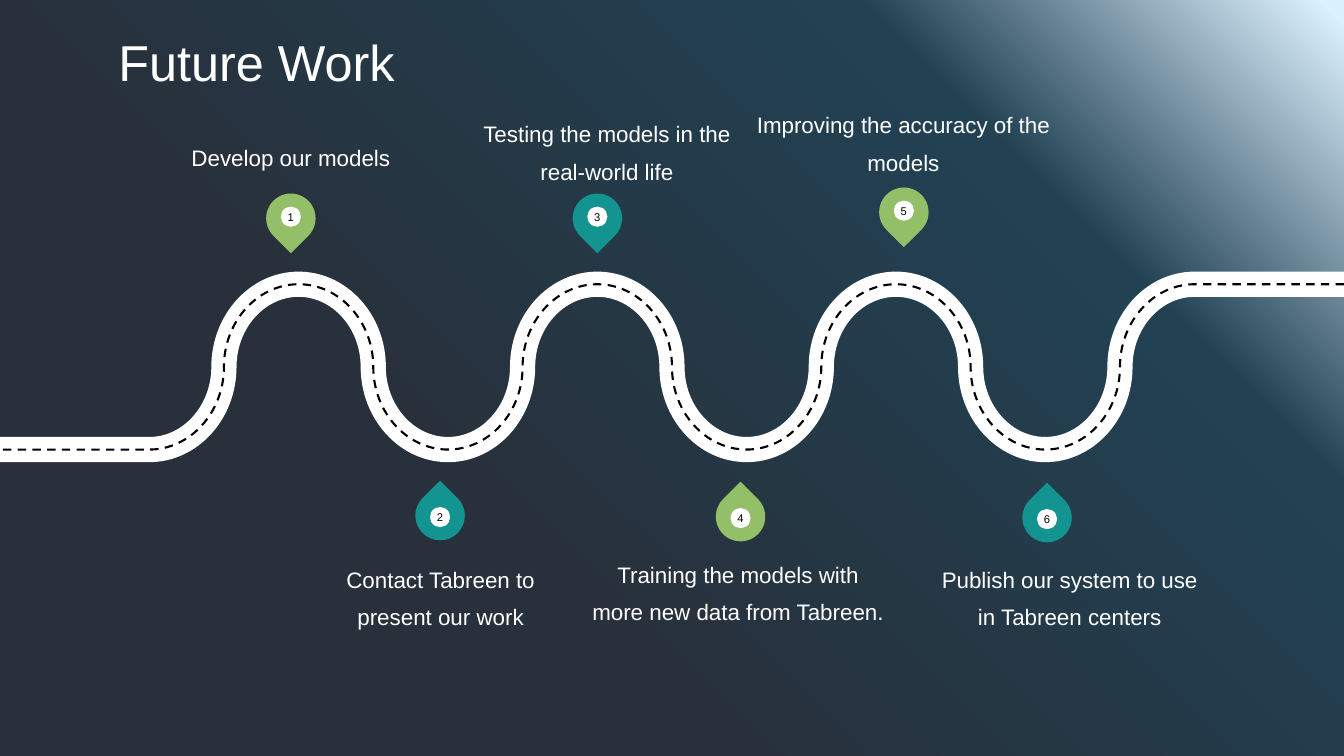
import pptx
import pptx.util
import pptx.dml.color
import pptx.enum.dml
import pptx.enum.shapes
import pptx.enum.text
import pptx.oxml
import pptx.oxml.ns

Inches = pptx.util.Inches
Pt = pptx.util.Pt
RGB = pptx.dml.color.RGBColor
SHAPE = pptx.enum.shapes.MSO_SHAPE
ANCHOR = pptx.enum.text.MSO_ANCHOR
qn = pptx.oxml.ns.qn
NS = pptx.oxml.ns.nsdecls("a")

# Colours
DARK = RGB(0x28, 0x31, 0x3C)
WHITE = RGB(0xFF, 0xFF, 0xFF)
BLACK = RGB(0x00, 0x00, 0x00)
GREEN = RGB(0x94, 0xBF, 0x69)
TEAL = RGB(0x13, 0x94, 0x90)
GLOW = [  # percent, colour
    (1, RGB(0xDC, 0xF1, 0xFF)),
    (23, RGB(0x22, 0x42, 0x54)),
    (66, RGB(0x28, 0x30, 0x3B)),
]

# Content
TITLE = "Future Work"
TITLE_BOX = (0.28, 0.26, 4.53, 0.71)
STEPS = [  # text, text box (left, top, width, height), pin (left, top), pin colour
    ("Develop our models", (1.65, 1.27, 2.47, 0.44), (2.64, 1.92), GREEN),
    ("Contact Tabreen to present our work", (3.06, 5.46, 2.62, 0.82), (4.12, 4.87), TEAL),
    ("Testing the models in the real-world life", (4.6, 1.04, 2.84, 0.82), (5.68, 1.92), TEAL),
    ("Training the models with more new data from Tabreen.",
     (5.76, 5.41, 3.12, 1.2), (7.1, 4.88), GREEN),
    ("Improving the accuracy of the models", (7.32, 0.95, 3.28, 0.82), (8.72, 1.86), GREEN),
    ("Publish our system to use in Tabreen centers",
     (9.16, 5.46, 2.9, 0.82), (10.14, 4.89), TEAL),
]

# Layout
FONT = "Arial"
WIDE, HIGH = 13.33, 7.5
TOP, LOW = 2.82, 4.46           # crests and dips of the road
MID = (TOP + LOW) / 2
STRIDE = WIDE / 18              # width of one quarter bend
BENDS = 14                      # quarter bends; a flat end of two strides on each side
ROUND = 0.55                    # handle length that makes a quarter ellipse
PIN, DOT = 0.49, 0.2
NUDGE = 0.015                   # dot sits this far from the pin's centre, away from its tip


def write(frame, text, size, color, space=1.0):
    """Fill a text frame with one centred paragraph."""
    frame.word_wrap = True
    frame.auto_size = pptx.enum.text.MSO_AUTO_SIZE.NONE
    para = frame.paragraphs[0]
    para.text = text
    para.alignment = pptx.enum.text.PP_ALIGN.CENTER
    para.line_spacing = space
    para.font.name, para.font.size = FONT, Pt(size)
    para.font.color.rgb = color


def add_solid(shapes, kind, box, color):
    """Add a flat shape with no outline."""
    shape = shapes.add_shape(kind, *map(Inches, box))
    shape.shadow.inherit = False
    shape.fill.solid()
    shape.fill.fore_color.rgb = color
    shape.line.fill.background()
    return shape


def add_glow(shapes):
    """Add a full-slide panel that glows from the top right corner."""
    panel = add_solid(shapes, SHAPE.RECTANGLE, (0, 0, WIDE, HIGH), DARK)
    stops = "".join(f'<a:gs pos="{share * 1000}"><a:srgbClr val="{color}"/></a:gs>'
                    for share, color in GLOW)
    grad = pptx.oxml.parse_xml(
        f'<a:gradFill {NS} rotWithShape="1"><a:gsLst>{stops}</a:gsLst>'
        '<a:path path="circle"><a:fillToRect l="100000" b="100000"/></a:path></a:gradFill>')
    props = panel.element.spPr
    props.replace(props.find(qn("a:solidFill")), grad)
    return panel


def make_curve(start, end, level):
    """Return a quarter ellipse that leaves its start level or upright."""
    (x0, y0), (x1, y1) = start, end
    dx, dy = (x1 - x0) * ROUND, (y1 - y0) * ROUND
    if level:
        grips = [(x0 + dx, y0), (x1, y1 - dy)]
    else:
        grips = [(x0, y0 + dy), (x1 - dx, y1)]
    points = "".join(f'<a:pt x="{round(x)}" y="{round(y)}"/>' for x, y in grips + [end])
    return pptx.oxml.parse_xml(f"<a:cubicBezTo {NS}>{points}</a:cubicBezTo>")


def add_road(shapes, color, width, dash=None):
    """Add the winding line, from the right edge to the left."""
    wave = (TOP, MID, LOW, MID)
    first = WIDE - 2 * STRIDE
    knots = [(first - n * STRIDE, wave[n % 4]) for n in range(BENDS + 1)]
    spots = [(Inches(x), Inches(y)) for x, y in [(WIDE, TOP), *knots, (0, LOW)]]
    form = shapes.build_freeform(*spots[0])
    form.add_line_segments(spots[1:], close=False)
    road = form.convert_to_shape()
    road.shadow.inherit = False
    road.fill.background()
    road.line.color.rgb = color
    road.line.width = Pt(width)
    road.line.dash_style = dash

    # Round every segment between the two flat ends
    lines = list(road.element.iter(qn("a:lnTo")))
    ends = [(int(line[0].get("x")), int(line[0].get("y"))) for line in lines]
    for n in range(BENDS):
        curve = make_curve(ends[n], ends[n + 1], level=n % 2 == 0)
        lines[n + 1].getparent().replace(lines[n + 1], curve)


def add_pin(shapes, number, left, top, color):
    """Add a numbered pin whose tip points at the road."""
    above = top < MID
    group = shapes.add_group_shape().shapes
    drop = add_solid(group, SHAPE.TEAR, (left, top, PIN, PIN), color)
    drop.rotation = 135 if above else 315
    inset = (PIN - DOT) / 2
    shift = -NUDGE if above else NUDGE
    dot = add_solid(group, SHAPE.OVAL, (left + inset, top + inset + shift, DOT, DOT), WHITE)
    frame = dot.text_frame
    frame.margin_left = frame.margin_right = frame.margin_top = frame.margin_bottom = 0
    frame.vertical_anchor = ANCHOR.MIDDLE
    write(frame, str(number), 8, BLACK)


def main():
    prs = pptx.Presentation()
    prs.slide_width, prs.slide_height = Inches(WIDE), Inches(HIGH)
    slide = prs.slides.add_slide(prs.slide_layouts[5])
    shapes = slide.shapes

    # Backdrop, with the title in front of it
    slide.background.fill.solid()
    slide.background.fill.fore_color.rgb = DARK
    panel = add_glow(shapes)
    title = shapes.title
    panel.element.addnext(title.element)
    title.left, title.top, title.width, title.height = map(Inches, TITLE_BOX)
    title.text_frame.vertical_anchor = ANCHOR.TOP
    write(title.text_frame, TITLE, 36, WHITE)

    # Road with its dashed centre line
    add_road(shapes, WHITE, 18)
    add_road(shapes, BLACK, 1.5, pptx.enum.dml.MSO_LINE.DASH)

    # Numbered steps
    for number, (text, box, spot, color) in enumerate(STEPS, 1):
        label = shapes.add_textbox(*map(Inches, box))
        write(label.text_frame, text, 16, WHITE, space=1.4)
        add_pin(shapes, number, *spot, color)

    prs.save("out.pptx")


if __name__ == "__main__":
    main()
